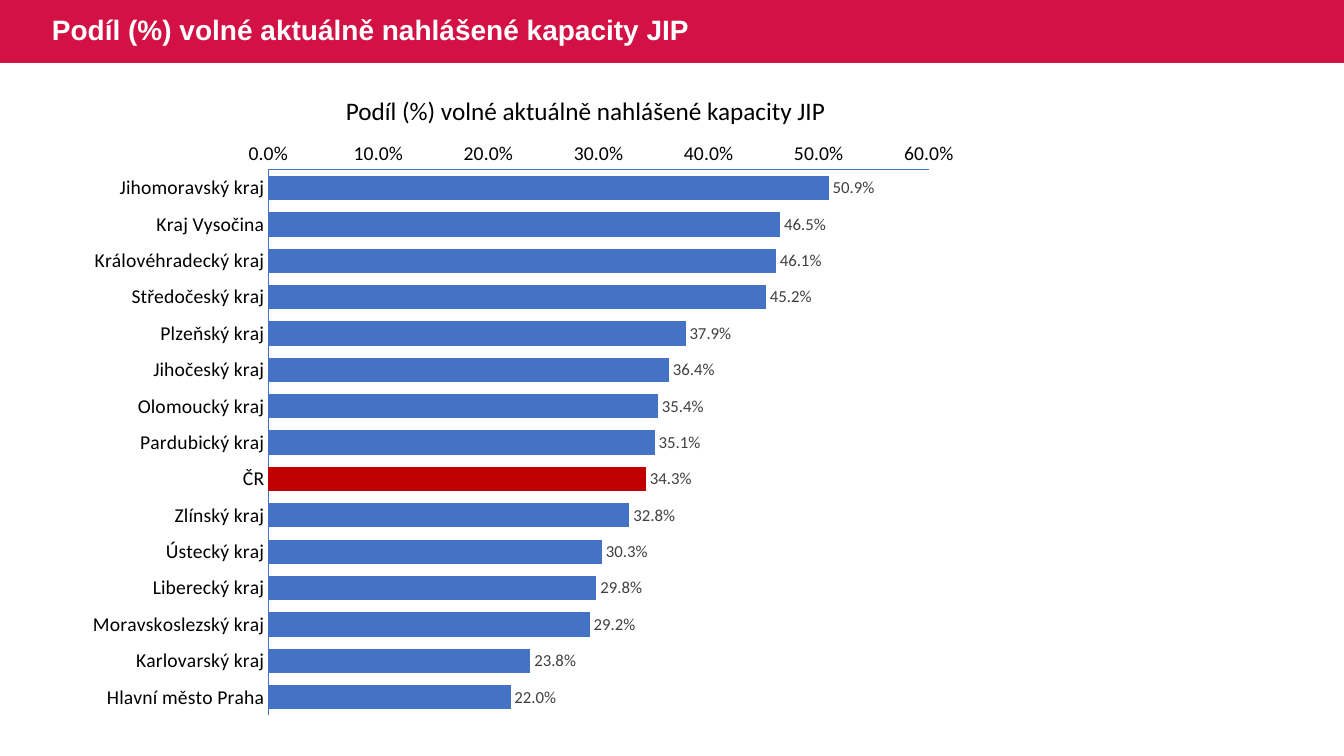
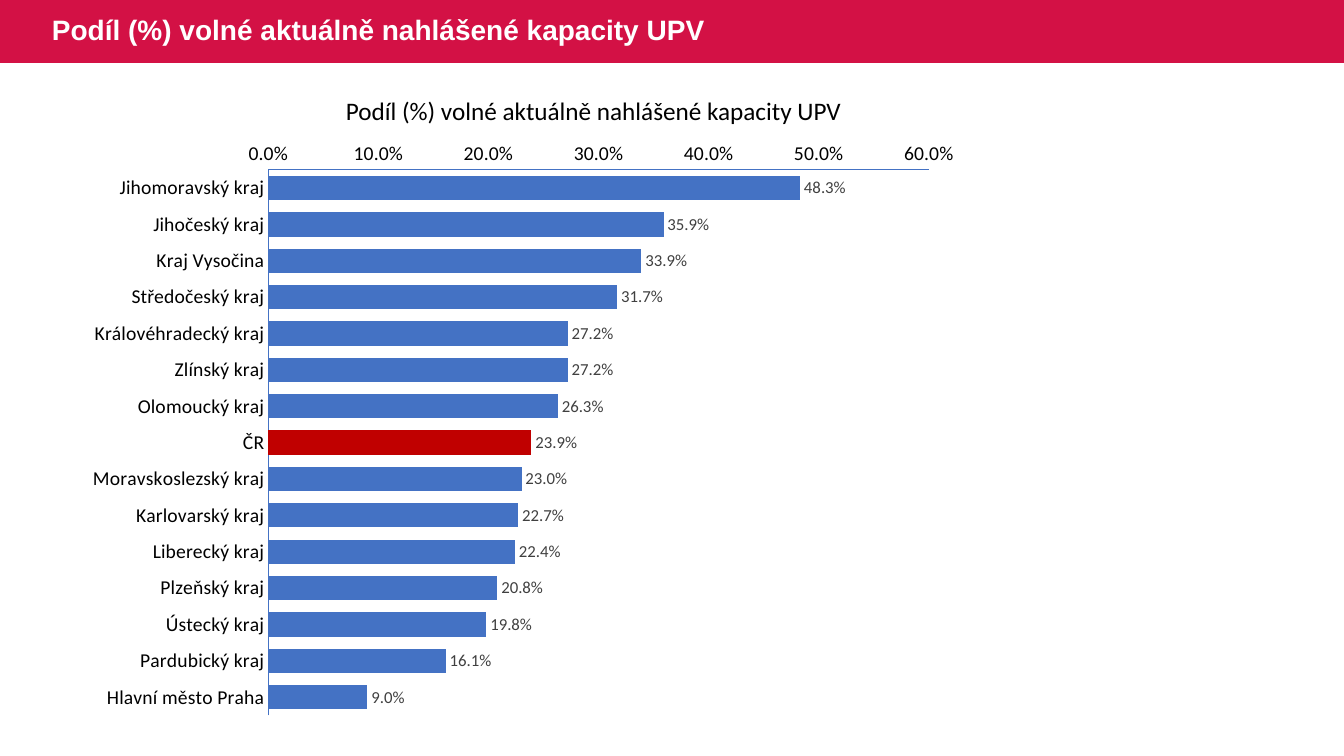
from lxml.etree import SubElement
from pptx import Presentation
from pptx.chart.data import CategoryChartData
from pptx.dml.color import RGBColor
from pptx.enum.chart import XL_CHART_TYPE as ChartType, XL_LABEL_POSITION as LabelPosition
from pptx.enum.chart import XL_TICK_MARK as TickMark
from pptx.enum.shapes import MSO_SHAPE as Preset
from pptx.enum.text import MSO_ANCHOR as Anchor, MSO_AUTO_SIZE as AutoSize
from pptx.oxml.ns import qn
from pptx.util import Inches, Pt

WIDTH, HEIGHT = Inches(13.333), Inches(7.5)
COLUMNS, ROWS = 32, 18
BLANK_LAYOUT = 6
BAND_ROWS = 1.5

CRIMSON, WHITE, BLACK = "D31145", "FFFFFF", "000000"
BLUE, RED, GRAY = "4472C4", "C00000", "404040"
TITLE_FONT, BODY_FONT = "Arial", "Calibri"

COUNTRY = "ČR"
PERCENT = "0.0%"
PLOT_AREA = {"x": 0.216, "y": 0.065, "w": 0.737, "h": 0.913}

CAPACITIES = {
    "Podíl (%) volné aktuálně nahlášené kapacity JIP": {
        "Jihomoravský kraj": 0.509,
        "Kraj Vysočina": 0.465,
        "Královéhradecký kraj": 0.461,
        "Středočeský kraj": 0.452,
        "Plzeňský kraj": 0.379,
        "Jihočeský kraj": 0.364,
        "Olomoucký kraj": 0.354,
        "Pardubický kraj": 0.351,
        COUNTRY: 0.343,
        "Zlínský kraj": 0.328,
        "Ústecký kraj": 0.303,
        "Liberecký kraj": 0.298,
        "Moravskoslezský kraj": 0.292,
        "Karlovarský kraj": 0.238,
        "Hlavní město Praha": 0.22,
    },
    "Podíl (%) volné aktuálně nahlášené kapacity UPV": {
        "Jihomoravský kraj": 0.483,
        "Jihočeský kraj": 0.359,
        "Kraj Vysočina": 0.339,
        "Středočeský kraj": 0.317,
        "Královéhradecký kraj": 0.272,
        "Zlínský kraj": 0.272,
        "Olomoucký kraj": 0.263,
        COUNTRY: 0.239,
        "Moravskoslezský kraj": 0.23,
        "Karlovarský kraj": 0.227,
        "Liberecký kraj": 0.224,
        "Plzeňský kraj": 0.208,
        "Ústecký kraj": 0.198,
        "Pardubický kraj": 0.161,
        "Hlavní město Praha": 0.09,
    },
}


def color(hex_string):
    return RGBColor.from_string(hex_string)


def grid(left, top, width, height):
    column, row = WIDTH / COLUMNS, HEIGHT / ROWS
    return [round(length) for length in (left * column, top * row, width * column, height * row)]


def style_font(font, name, size, hex_string, bold=False):
    font.name, font.size, font.bold = name, Pt(size), bold
    font.color.rgb = color(hex_string)


def paint(fill, hex_string):
    fill.solid()
    fill.fore_color.rgb = color(hex_string)


def add_band(slide):
    band = slide.shapes.add_shape(Preset.RECTANGLE, *grid(0, 0, COLUMNS, BAND_ROWS))
    band.shadow.inherit = False
    paint(band.fill, CRIMSON)
    band.line.fill.background()


def add_text(slide, place, text, wrap):
    shape = slide.shapes.add_textbox(*grid(*place))
    frame = shape.text_frame
    frame.word_wrap = wrap
    frame.text = text
    return frame, frame.paragraphs[0]


def add_title(slide, text):
    frame, paragraph = add_text(slide, (1, 0, 27.75, BAND_ROWS), text, True)
    frame.vertical_anchor = Anchor.MIDDLE
    paragraph.line_spacing = 0.9
    style_font(paragraph.font, TITLE_FONT, 20, WHITE, bold=True)


def add_caption(slide, text):
    frame, paragraph = add_text(slide, (8, 2.14, 12.35, 0.97), text, False)
    frame.auto_size = AutoSize.SHAPE_TO_FIT_TEXT
    style_font(paragraph.font, BODY_FONT, 18, BLACK)


def style_axis(axis):
    axis.has_major_gridlines = False
    axis.major_tick_mark = axis.minor_tick_mark = TickMark.NONE
    axis.format.line.color.rgb = color(BLUE)
    axis.format.line.width = Pt(0.75)
    style_font(axis.tick_labels.font, BODY_FONT, 14, BLACK)


def fix_plot_area(chart):
    plot_area = chart._chartSpace.chart.plotArea
    for old_layout in plot_area.findall(qn("c:layout")):
        plot_area.remove(old_layout)
    layout = SubElement(plot_area, qn("c:layout"))
    plot_area.insert(0, layout)
    manual = SubElement(layout, qn("c:manualLayout"))
    settings = {"layoutTarget": "inner", "xMode": "edge", "yMode": "edge", **PLOT_AREA}
    for tag, value in settings.items():
        SubElement(manual, qn(f"c:{tag}")).set("val", str(value))


def add_bar_chart(slide, shares):
    data = CategoryChartData(number_format=PERCENT)
    data.categories = list(shares)
    data.add_series("Series 1", list(shares.values()))
    place = grid(1.78, 3.12, 21.34, 14.23)
    chart = slide.shapes.add_chart(ChartType.BAR_CLUSTERED, *place, data).chart
    chart.has_legend = chart.has_title = False
    style_font(chart.font, BODY_FONT, 10, BLACK)
    fix_plot_area(chart)

    style_axis(chart.category_axis)
    chart.category_axis.reverse_order = True
    scale = chart.value_axis
    style_axis(scale)
    scale.minimum_scale, scale.maximum_scale, scale.major_unit = 0, 0.6, 0.1
    scale.tick_labels.number_format = PERCENT
    scale.tick_labels.number_format_is_linked = False

    plot = chart.plots[0]
    plot.gap_width = 50
    plot.vary_by_categories = False
    series = plot.series[0]
    paint(series.format.fill, BLUE)
    paint(series.points[list(shares).index(COUNTRY)].format.fill, RED)

    labels = series.data_labels
    labels.show_value = True
    labels.position = LabelPosition.OUTSIDE_END
    labels.number_format = PERCENT
    labels.number_format_is_linked = False
    style_font(labels.font, BODY_FONT, 12, GRAY)


def main():
    presentation = Presentation()
    presentation.slide_width, presentation.slide_height = WIDTH, HEIGHT
    for title, shares in CAPACITIES.items():
        slide = presentation.slides.add_slide(presentation.slide_layouts[BLANK_LAYOUT])
        add_band(slide)
        add_title(slide, title)
        add_bar_chart(slide, shares)
        add_caption(slide, title)
    presentation.save("out.pptx")


if __name__ == "__main__":
    main()
